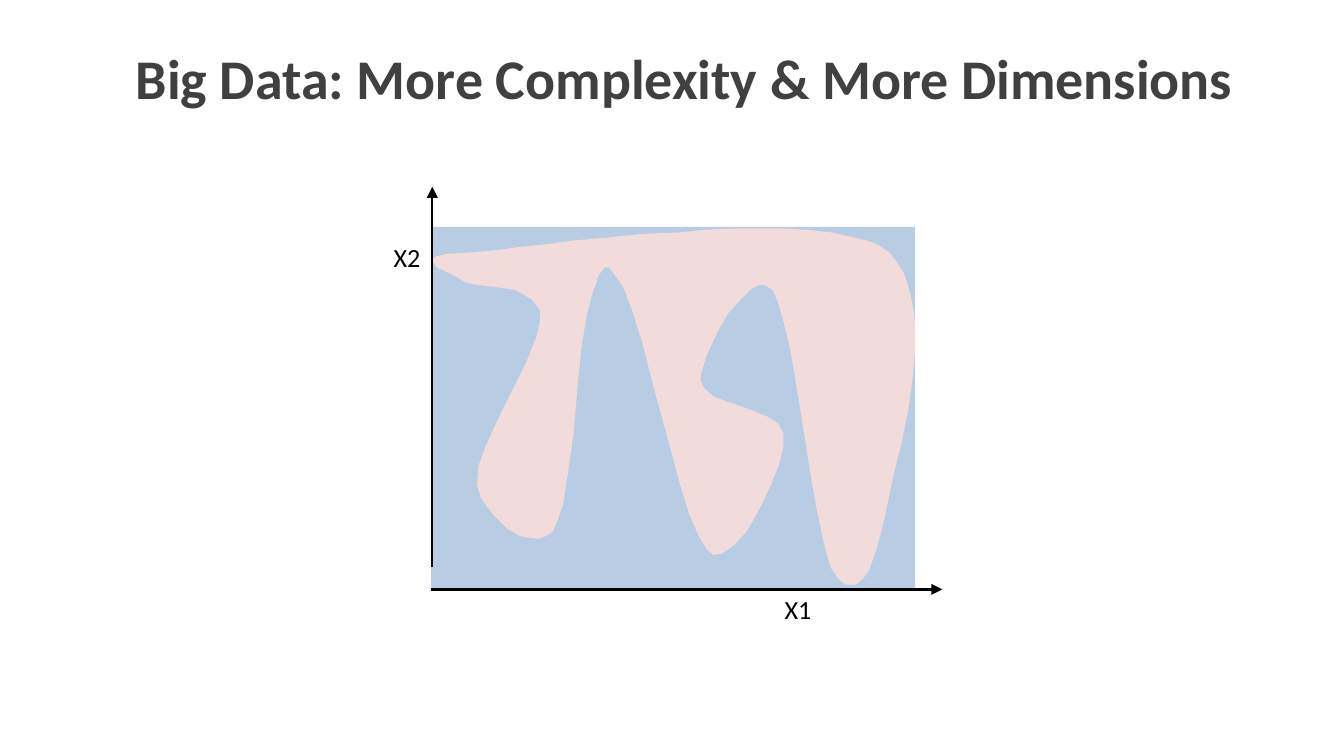
from lxml.etree import SubElement
from pptx import Presentation
from pptx.dml.color import RGBColor
from pptx.enum.shapes import MSO_CONNECTOR, MSO_SHAPE
from pptx.enum.text import PP_ALIGN
from pptx.oxml.ns import qn
from pptx.util import Cm, Pt

BLACK = RGBColor(0x00, 0x00, 0x00)
GRAY = RGBColor(0x40, 0x40, 0x40)
BLUE = RGBColor(0xB8, 0xCD, 0xE4)
PINK = RGBColor(0xF1, 0xDC, 0xDB)

UNIT = Cm(0.0254)
TOP_EDGE = [
    (321, 193), (324, 191), (332, 189), (349, 188), (371, 186), (385, 184),
    (405, 182), (427, 179), (450, 177), (480, 174), (505, 173), (525, 171),
    (549, 170), (582, 170), (599, 171), (619, 173), (636, 177), (645, 179),
    (655, 183), (662, 188), (668, 196), (673, 204), (677, 217), (680, 232),
    (681, 243)]
RIGHT_LOBE = [
    (681, 260), (679, 282), (676, 304), (671, 329), (665, 353), (660, 377),
    (657, 391), (652, 409), (647, 424), (642, 431), (637, 435), (629, 435),
    (624, 431), (618, 422), (613, 404), (607, 375), (602, 346), (597, 314),
    (592, 283), (588, 260), (584, 243), (579, 225), (575, 216), (569, 212)]
MIDDLE_LOBE = [
    (565, 212), (559, 215), (552, 222), (542, 233), (534, 247), (526, 264),
    (522, 277), (521, 283), (524, 289), (531, 295), (541, 299), (556, 304),
    (571, 310), (579, 315), (583, 323), (583, 332), (580, 345), (574, 360),
    (566, 377), (556, 395), (546, 406), (537, 412), (531, 413), (526, 409),
    (520, 399), (513, 383), (505, 357), (496, 323), (486, 287), (478, 255),
    (471, 233), (464, 214), (457, 204), (453, 199)]
LEFT_LOBE = [
    (450, 199), (446, 204), (441, 218), (437, 233), (433, 256), (430, 285),
    (427, 321), (423, 350), (419, 375), (415, 387), (411, 396), (406, 399),
    (401, 401), (393, 400), (387, 399), (377, 393), (367, 383), (358, 371),
    (355, 361), (356, 347), (361, 333), (370, 313), (381, 291), (391, 271),
    (399, 251), (402, 239), (402, 231), (396, 223), (391, 220), (384, 216),
    (372, 214), (354, 212), (346, 210), (336, 204), (325, 199)]


def paint(sp, color):
    """Give a shape a plain fill without line or shadow."""
    sp.shadow.inherit = False
    sp.fill.solid()
    sp.fill.fore_color.rgb = color
    sp.line.fill.background()


def add_background(s):
    """Draw the rectangle of the plotted space."""
    sp = s.shapes.add_shape(
        MSO_SHAPE.RECTANGLE, Cm(8.15), Cm(4.29), Cm(9.14), Cm(6.83))
    paint(sp, BLUE)


def add_region(s):
    """Draw the curved region as one closed outline."""
    points = TOP_EDGE + RIGHT_LOBE + MIDDLE_LOBE + LEFT_LOBE
    builder = s.shapes.build_freeform(*points[0], scale=UNIT)
    builder.add_line_segments(points[1:], close=True)
    paint(builder.convert_to_shape(), PINK)


def add_axis(s, x1, y1, x2, y2):
    """Draw an axis with an arrowhead at its far end."""
    axis = s.shapes.add_connector(
        MSO_CONNECTOR.STRAIGHT, Cm(x1), Cm(y1), Cm(x2), Cm(y2))
    axis.line.color.rgb = BLACK
    axis.line.width = Pt(1.25)
    SubElement(axis.line._get_or_add_ln(), qn("a:tailEnd"), type="triangle")
    SubElement(axis._element.spPr, qn("a:effectLst"))


def add_text(s, text, left, top, width, height, size, color=BLACK,
             insets=(0, 0.03, 0, 0), bold=False, align=PP_ALIGN.LEFT,
             wrap=False):
    """Add a one-paragraph text box."""
    tf = s.shapes.add_textbox(
        Cm(left), Cm(top), Cm(width), Cm(height)).text_frame
    tf.word_wrap = wrap
    (tf.margin_left, tf.margin_top,
     tf.margin_right, tf.margin_bottom) = map(Cm, insets)
    p = tf.paragraphs[0]
    p.text = text
    p.alignment = align
    p.font.name = "Calibri"
    p.font.size = Pt(size)
    p.font.bold = bold
    p.font.color.rgb = color


def main():
    """Build the slide and save it."""
    prs = Presentation()
    prs.slide_width, prs.slide_height = Cm(25.4), Cm(14.29)
    s = prs.slides.add_slide(prs.slide_layouts[6])
    add_text(s, "Big Data: More Complexity & More Dimensions",
             0.76, 0.79, 24, 1.9, 30, GRAY, insets=(0.36, 0.03, 0, 0),
             bold=True, align=PP_ALIGN.CENTER, wrap=True)
    add_background(s)
    add_region(s)
    add_axis(s, 8.17, 10.72, 8.17, 3.53)
    add_axis(s, 8.15, 11.14, 17.81, 11.14)
    add_text(s, "X1", 14.83, 11.18, 0.53, 0.64, 14)
    add_text(s, "X2", 7.19, 4.32, 1.12, 0.99, 14, insets=(0.25,) * 4)
    prs.save("out.pptx")


if __name__ == "__main__":
    main()
